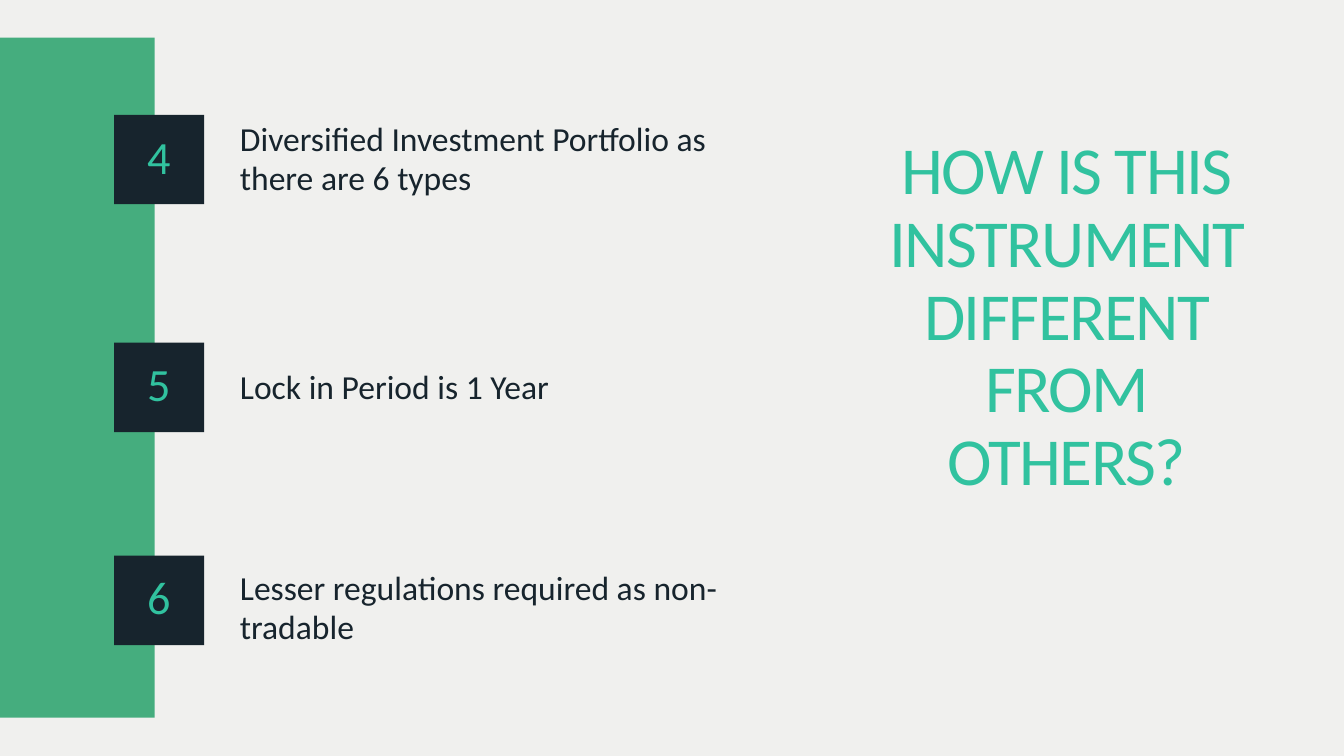
from dataclasses import dataclass

from pptx import Presentation
from pptx import util as u
from pptx.dml.color import RGBColor
from pptx.enum import shapes, text

COLORS = {"bg": "F0F0EE", "panel": "45AD7E", "dark": "17242D", "accent": "31C29F"}
FONT = "Calibri"


@dataclass
class Point:
    number: str
    label: str
    top: float
    label_top: float
    label_height: float


POINTS = [
    Point("4", "Diversified Investment Portfolio as there are 6 types", 1.71, 1.78, 1.18),
    Point("5", "Lock in Period is 1 Year", 5.1, 5.46, 0.59),
    Point("6", "Lesser regulations required as non-tradable", 8.27, 8.46, 1.18),
]


def inches(*values: float) -> list:
    return [u.Inches(v) for v in values]


def write(sp, content: str, *, size: float, leading: float, color: str,
          align=text.PP_ALIGN.LEFT, spacing: float = 0) -> None:
    tf = sp.text_frame
    tf.word_wrap = True
    tf.auto_size = text.MSO_AUTO_SIZE.NONE
    tf.vertical_anchor = text.MSO_ANCHOR.TOP
    tf.margin_left = tf.margin_top = tf.margin_right = tf.margin_bottom = 0
    p = tf.paragraphs[0]
    p.alignment = align
    p.line_spacing = u.Pt(leading)
    p.space_before = u.Pt(0)
    r = p.add_run()
    r.text = content
    r.font.name = FONT
    r.font.size = u.Pt(size)
    r.font.color.rgb = RGBColor.from_string(COLORS[color])
    if spacing:
        r.font._element.set("spc", str(round(spacing * 100)))


def add_rect(parent, left: float, top: float, width: float, height: float, color: str) -> None:
    sp = parent.add_shape(shapes.MSO_SHAPE.RECTANGLE, *inches(left, top, width, height))
    sp.shadow.inherit = False
    sp.fill.solid()
    sp.fill.fore_color.rgb = RGBColor.from_string(COLORS[color])
    sp.line.fill.background()


def add_point(s, point: Point) -> None:
    badge = s.shapes.add_group_shape().shapes
    add_rect(badge, 1.7, point.top, 1.34, 1.33, "dark")
    number = badge.add_textbox(*inches(1.91, point.top + 0.33, 0.91, 0.75))
    write(number, point.number, size=49.5, leading=49.5, color="accent",
          align=text.PP_ALIGN.CENTER, spacing=-1)
    label = s.shapes.add_textbox(*inches(3.57, point.label_top, 7.85, point.label_height))
    write(label, point.label, size=36, leading=41.6, color="dark")


def main() -> None:
    prs = Presentation()
    prs.slide_width, prs.slide_height = inches(20, 11.25)
    s = prs.slides.add_slide(prs.slide_layouts[5])
    s.background.fill.solid()
    s.background.fill.fore_color.rgb = RGBColor.from_string(COLORS["bg"])

    title = s.shapes.title
    title.left, title.top, title.width, title.height = inches(12.8, 2.01, 6.14, 5.5)
    write(title, "HOW IS THIS INSTRUMENT DIFFERENT FROM OTHERS?", size=72, leading=78,
          color="accent", align=text.PP_ALIGN.CENTER, spacing=-1.6)

    add_rect(s.shapes, -0.06, 0.56, 2.36, 10.12, "panel")
    for point in POINTS:
        add_point(s, point)
    prs.save("out.pptx")


if __name__ == "__main__":
    main()
